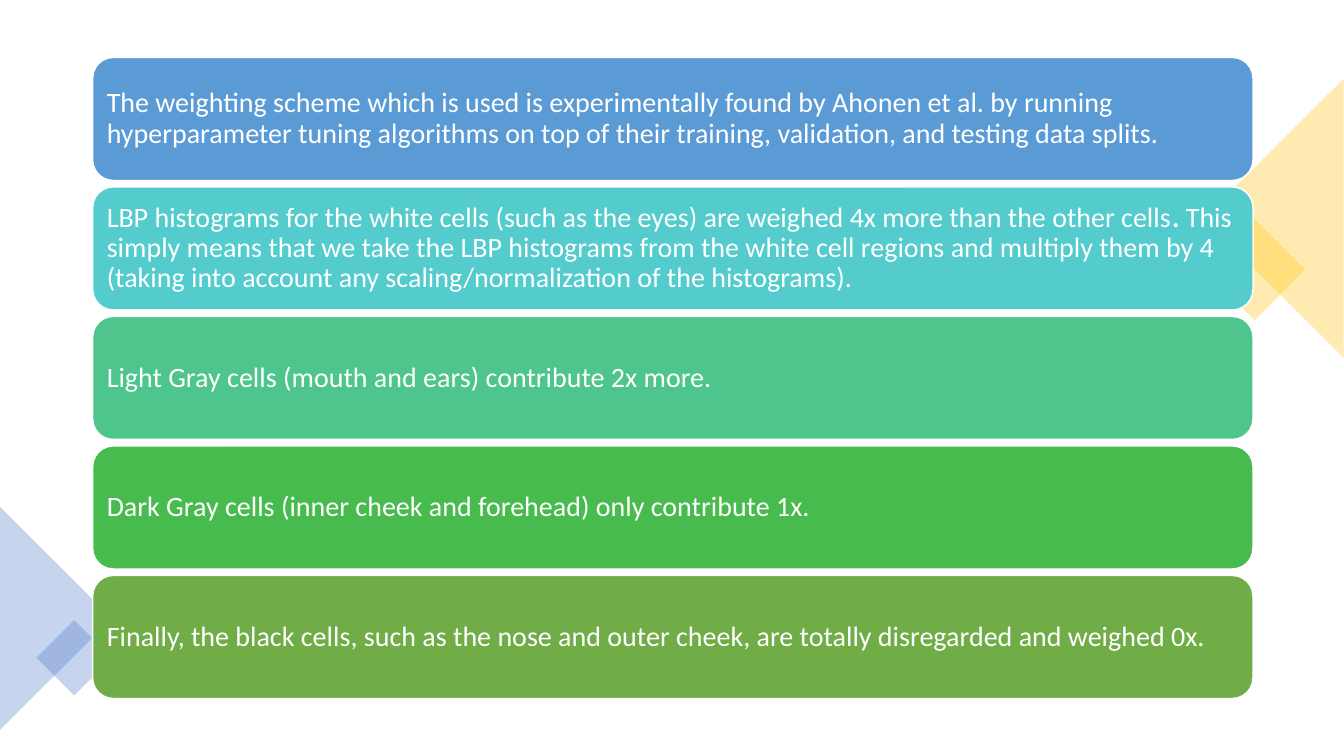
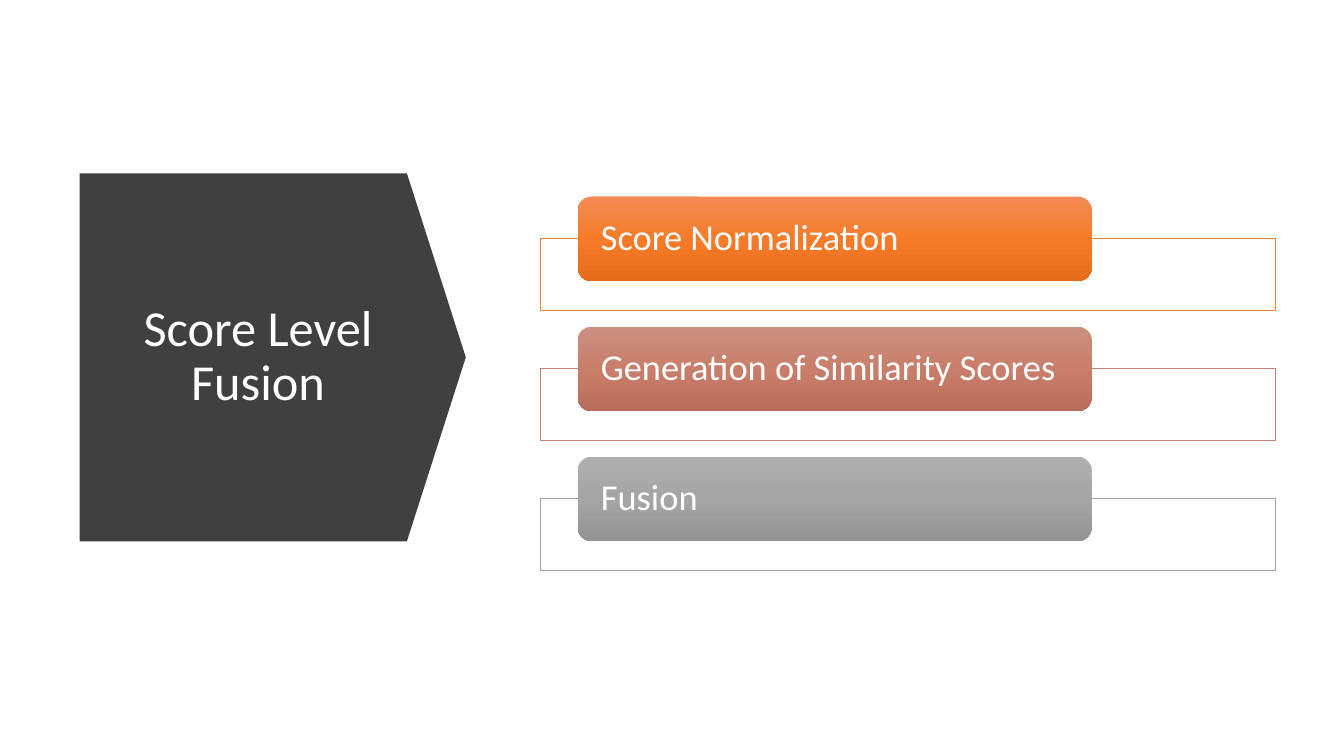
from copy import deepcopy

from pptx import Presentation
from pptx import util as u
from pptx.dml.color import RGBColor
from pptx.enum import shapes, text
from pptx.oxml.ns import qn
from lxml import etree

SHAPE = shapes.MSO_SHAPE
WHITE, YELLOW, BLUE, CHARCOAL = "FFFFFF", "FFC000", "4472C4", "404040"
BLANK, TITLE_ONLY = 6, 5


def rgb(value):
    return RGBColor.from_string(value)


class Deck:
    """Holds the style and the current slide; lengths are percent of the slide."""

    font = "Calibri"
    line_spacing = 0.9

    def __init__(self):
        self.prs = Presentation()
        self.prs.slide_width = u.Inches(13.333)
        self.prs.slide_height = u.Inches(7.5)

    def new_slide(self, layout):
        self.s = self.prs.slides.add_slide(self.prs.slide_layouts[layout])

    def box(self, x, y, w, h):
        across, down = self.prs.slide_width / 100, self.prs.slide_height / 100
        return [u.Emu(round(v)) for v in (x * across, y * down, w * across, h * down)]

    def shape(self, kind, at, fill, alpha=None, line=None, width=1, rotation=0):
        """Add a preset shape; a list of colours as fill makes a downward gradient."""
        sp = self.s.shapes.add_shape(kind, *self.box(*at))
        sp.shadow.inherit = False
        sp.rotation = rotation
        if isinstance(fill, str):
            sp.fill.solid()
            sp.fill.fore_color.rgb = rgb(fill)
        else:
            self.gradient(sp, fill)
        if alpha is not None:
            color = sp.element.spPr.find(qn("a:solidFill"))[0]
            etree.SubElement(color, qn("a:alpha")).set("val", str(alpha * 1000))
        if line:
            sp.line.color.rgb = rgb(line)
            sp.line.width = u.Pt(width)
        else:
            sp.line.fill.background()
        return sp

    def gradient(self, sp, colors):
        sp.fill.gradient()
        sp.fill.gradient_angle = 270
        stop_list = sp.element.spPr.find(qn("a:gradFill")).find(qn("a:gsLst"))
        while len(stop_list) < len(colors):
            stop_list.insert(1, deepcopy(stop_list[0]))
        for i, (stop, color) in enumerate(zip(sp.fill.gradient_stops, colors)):
            stop.color.rgb = rgb(color)
            stop.position = i / (len(colors) - 1)

    def add_text(self, sp, runs, size, align=text.PP_ALIGN.LEFT, inset=(0.1, 0.05)):
        """Fill a shape with one paragraph of (words, bold) runs."""
        tf = sp.text_frame
        tf.word_wrap = True
        tf.auto_size = text.MSO_AUTO_SIZE.NONE
        tf.vertical_anchor = text.MSO_ANCHOR.MIDDLE
        tf.margin_left = tf.margin_right = u.Inches(inset[0])
        tf.margin_top = tf.margin_bottom = u.Inches(inset[1])
        p = tf.paragraphs[0]
        p.alignment = align
        p.line_spacing = self.line_spacing
        for words, bold in runs:
            r = p.add_run()
            r.text = words
            r.font.name = self.font
            r.font.size = u.Pt(size)
            r.font.bold = bold
            r.font.color.rgb = rgb(WHITE)

    def title(self, words, at):
        sp = self.s.shapes.title
        sp.left, sp.top, sp.width, sp.height = self.box(*at)
        self.add_text(sp, [(words, False)], 36, text.PP_ALIGN.CENTER)
        sp.element.getparent().append(sp.element)  # bring in front of the arrow

    def corner(self, kind, at, color, rotation):
        self.shape(kind, at, color, alpha=30, rotation=rotation)

    def bar(self, row, runs, color):
        sp = self.shape(SHAPE.ROUNDED_RECTANGLE,
                        (6.9, 7.6 + 17.13 * row, 86.33, 16.27), color, line=WHITE)
        self.add_text(sp, runs, 20, inset=(0.08, 0.08))

    def step(self, row, words, outline, colors):
        """Add an outlined frame with a gradient label overlapping its top edge."""
        drop = 17.2 * row
        self.shape(SHAPE.RECTANGLE, (40.2, 31.47 + drop, 54.68, 9.6), WHITE,
                   alpha=90, line=outline, width=0.5)
        sp = self.shape(SHAPE.ROUNDED_RECTANGLE, (42.98, 26 + drop, 38.25, 11.2), colors)
        self.add_text(sp, [(words, False)], 26, inset=(0.19, 0))


def weighting_slide(deck):
    deck.new_slide(BLANK)
    deck.corner(SHAPE.RECTANGLE, (90.68, 30.93, 5.33, 9.47), YELLOW, 45)
    deck.corner(SHAPE.ISOSCELES_TRIANGLE, (84.38, 19.6, 20.78, 18.53), YELLOW, 270)
    deck.corner(SHAPE.ISOSCELES_TRIANGLE, (-4.13, 74.4, 16.58, 14.8), BLUE, 90)
    deck.corner(SHAPE.RECTANGLE, (3.53, 83.47, 3.98, 7.07), BLUE, 45)
    bars = [
        ("5B9BD5", [("The weighting scheme which is used is experimentally found by "
                     "Ahonen et al. by running hyperparameter tuning algorithms on top "
                     "of their training, validation, and testing data splits.", False)]),
        ("54CCCD", [("LBP histograms for the white cells (such as the eyes) are weighed "
                     "4x more than the other cells", False),
                    (".", True),
                    (" This simply means that we take the LBP histograms from the white "
                     "cell regions and multiply them by 4 (taking into account any "
                     "scaling/normalization of the histograms).", False)]),
        ("4DC58D", [("Light Gray cells (mouth and ears) contribute 2x more.", False)]),
        ("48BB4F", [("Dark Gray cells (inner cheek and forehead) only contribute 1x.",
                     False)]),
        ("70AD47", [("Finally, the black cells, such as the nose and outer cheek, are "
                     "totally disregarded and weighed 0x.", False)]),
    ]
    for row, (color, runs) in enumerate(bars):
        deck.bar(row, runs, color)


def fusion_slide(deck):
    deck.new_slide(TITLE_ONLY)
    arrow = deck.shape(SHAPE.PENTAGON, (5.93, 22.93, 28.73, 48.67), CHARCOAL)
    arrow.adjustments[0] = 0.16
    deck.title("Score Level Fusion", (8.4, 28.67, 21.6, 37.2))
    steps = [
        ("Score Normalization", "ED7D31", ["F18C57", "F67B28", "E56C19"]),
        ("Generation of Similarity Scores", "C48170", ["CB8F81", "C97E6B", "B76D5B"]),
        ("Fusion", "A5A5A5", ["AFAFAF", "A5A5A5", "939393"]),
    ]
    for row, (words, outline, colors) in enumerate(steps):
        deck.step(row, words, outline, colors)


def main():
    deck = Deck()
    weighting_slide(deck)
    fusion_slide(deck)
    deck.prs.save("out.pptx")


if __name__ == "__main__":
    main()
